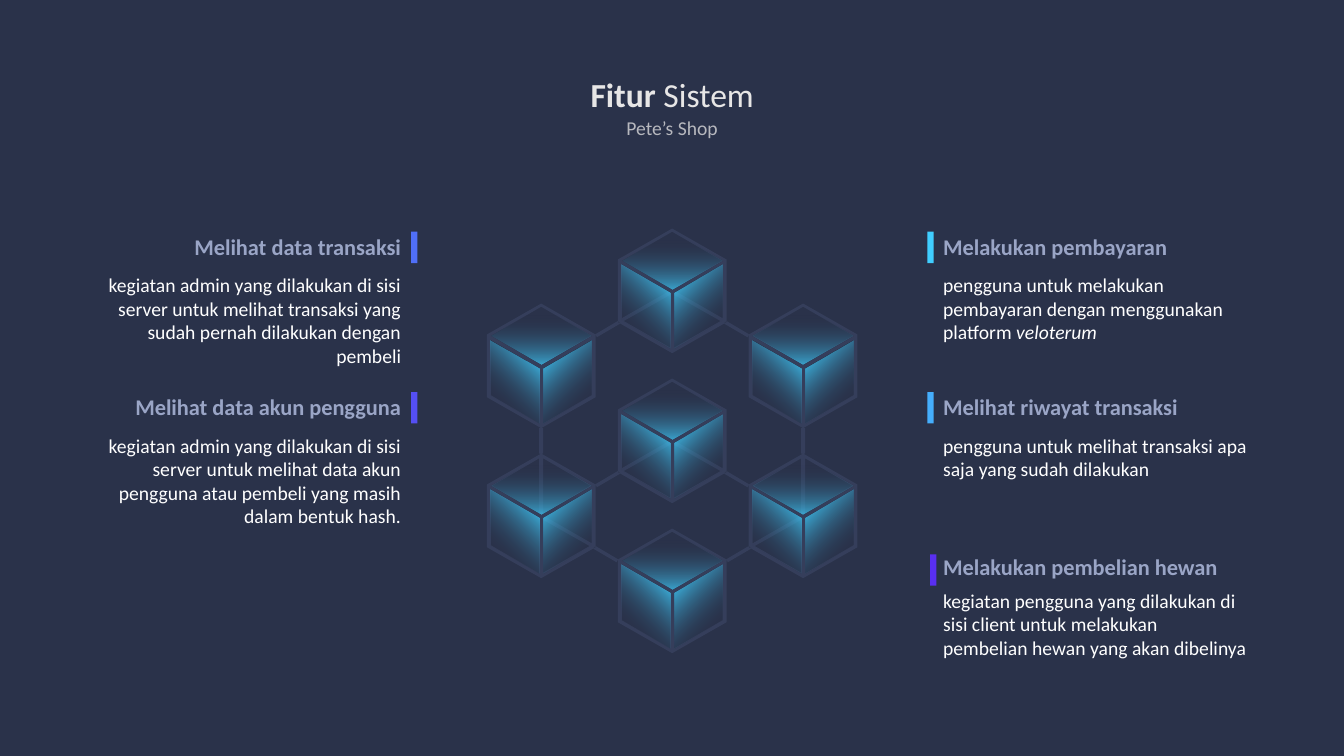
from lxml.etree import SubElement
from pptx import Presentation
from pptx.dml.color import RGBColor
from pptx.enum.shapes import MSO_SHAPE
from pptx.enum.text import MSO_ANCHOR, PP_ALIGN as Align
from pptx.oxml.ns import qn
from pptx.util import Cm, Pt

NAVY = RGBColor(0x2A, 0x32, 0x4A)
SLATE = RGBColor(0x68, 0x78, 0xA9)
LAVENDER = RGBColor(0x9A, 0xA5, 0xC6)
CYAN = RGBColor(0x40, 0xCE, 0xFF)
SKY = RGBColor(0x45, 0xAE, 0xFC)
BLUE = RGBColor(0x50, 0x6F, 0xF7)
INDIGO = RGBColor(0x55, 0x4F, 0xF3)
VIOLET = RGBColor(0x59, 0x2F, 0xF1)
PALE = RGBColor(0xE7, 0xE6, 0xE6)
WHITE = RGBColor(0xFF, 0xFF, 0xFF)

# Content: paragraphs are lists of (text, style) spans
TITLE = [[("Fitur ", "bold"), ("Sistem", "")]]
SUBTITLE = [[("Pete’s Shop", "")]]

# side, heading top, body offset, bar (left, offset), colour, heading, body
FEATURES = [
    ("left", 5.74, 1.02, (10.36, 0.1), BLUE, "Melihat data transaksi",
     [[("kegiatan admin yang dilakukan di sisi server untuk melihat transaksi "
        "yang sudah pernah dilakukan dengan pembeli", "")]]),
    ("left", 9.78, 1.02, (10.36, 0.1), INDIGO, "Melihat data akun pengguna",
     [[("kegiatan admin yang dilakukan di sisi server untuk melihat data akun "
        "pengguna atau pembeli yang masih dalam bentuk hash.", "")]]),
    ("right", 5.74, 1.02, (23.37, 0.1), CYAN, "Melakukan pembayaran",
     [[("pengguna untuk melakukan pembayaran dengan menggunakan", "")],
      [("platform ", ""), ("veloterum", "italic")]]),
    ("right", 9.78, 1.02, (23.37, 0.1), SKY, "Melihat riwayat transaksi",
     [[("pengguna untuk melihat transaksi apa saja yang sudah dilakukan", "")]]),
    ("right", 13.82, 0.89, (23.44, 0.15), VIOLET, "Melakukan pembelian hewan",
     [[("kegiatan pengguna yang dilakukan di sisi client untuk melakukan", "")],
      [("pembelian hewan yang akan dibelinya", "")]]),
]
SIDES = {"left": (2.03, Align.RIGHT), "right": (23.52, Align.LEFT)}

# Cubes: column, row, links leaving or entering the cube
CUBES = [
    (0, 0, ("left", "right")),
    (-1, 1, ("down",)),
    (1, 1, ("down",)),
    (0, 2, ("left", "right")),
    (-1, 3, ("top", "right")),
    (1, 3, ("top", "left")),
    (0, 4, ()),
]
CENTRE_X, FIRST_Y, COLUMN_STEP, ROW_STEP = 16.94, 7.33, 3.3, 1.89

# Cube outlines in cm around the cube's centre; sides are drawn for the right
HEXAGON = [(0, -1.57), (1.37, -0.79), (1.37, 0.79), (0, 1.57), (-1.37, 0.79), (-1.37, -0.79)]
TOP_FACE = [(0, -1.49), (1.26, -0.76), (0, -0.04), (-1.26, -0.76)]
TOP_HALF = [(0.05, -1.45), (1.24, -0.76), (0.05, -0.06)]
SIDE_FACE = [(0.05, 0.06), (1.27, -0.65), (1.27, 0.74), (0.05, 1.45)]
SIDE_HALVES = [[(1.27, -0.65), (1.27, 0.69), (0.1, 0.02)],
               [(0.05, 0.1), (1.22, 0.76), (0.05, 1.43)]]
SIDE_LINK = [(1.37, 0.76), (1.93, 1.09), (1.9, 1.17), (1.3, 0.82)]
DOWN_LINK = [(-0.05, 1.57), (0.05, 1.57), (0.05, 2.21), (-0.05, 2.21)]
MIRRORS = {"left": -1, "right": 1}

deck = Presentation()
deck.slide_width, deck.slide_height = Cm(33.87), Cm(19.05)
page = deck.slides.add_slide(deck.slide_layouts[5])
page.background.fill.solid()
page.background.fill.fore_color.rgb = NAVY


def set_alpha(colour_element, percent):
    SubElement(colour_element, qn("a:alpha")).set("val", str(percent * 1000))


def write(paragraphs, left, top, width, height, size, colour,
          align=Align.LEFT, bold=False, alpha=None, box=None):
    box = box or page.shapes.add_textbox(0, 0, 0, 0)
    box.left, box.top, box.width, box.height = Cm(left), Cm(top), Cm(width), Cm(height)
    frame = box.text_frame
    frame.word_wrap = True
    frame.vertical_anchor = MSO_ANCHOR.TOP
    for index, spans in enumerate(paragraphs):
        para = frame.add_paragraph() if index else frame.paragraphs[0]
        para.alignment = align
        for text, style in spans:
            span = para.add_run()
            span.text = text
            span.font.name, span.font.size = "Calibri", Pt(size)
            span.font.bold = bold or style == "bold"
            span.font.italic = style == "italic"
            span.font.color.rgb = colour
            if alpha:
                set_alpha(next(span.font._element.iter(qn("a:srgbClr"))), alpha)


def mirror(points, sign):
    return [(x * sign, y) for x, y in points]


def place(points, centre):
    return [(Cm(centre[0] + x), Cm(centre[1] + y)) for x, y in points]


def draw(contours):
    first, *others = contours
    builder = page.shapes.build_freeform(*first[0], scale=1.0)
    builder.add_line_segments(first[1:], close=True)
    for contour in others:
        builder.move_to(*contour[0])
        builder.add_line_segments(contour[1:], close=True)
    outline = builder.convert_to_shape()
    outline.shadow.inherit = False
    outline.line.fill.background()
    return outline


def frame_contours(links):
    contours = [HEXAGON]
    if "top" in links:
        contours += [mirror(TOP_HALF, sign) for sign in MIRRORS.values()]
    else:
        contours.append(TOP_FACE)
    for side, sign in MIRRORS.items():
        parts = SIDE_HALVES + [SIDE_LINK] if side in links else [SIDE_FACE]
        contours += [mirror(part, sign) for part in parts]
    if "down" in links:
        contours.append(DOWN_LINK)
    return contours


def draw_face(points, centre, angle, stops):
    face = draw([place(points, centre)])
    face.fill.gradient()
    face.fill.gradient_angle = angle
    for stop, (position, colour, alpha) in zip(face.fill.gradient_stops, stops):
        stop.position = position
        stop.color.rgb = colour
        set_alpha(next(stop._gs.iter(qn("a:srgbClr"))), alpha)


# Linked cube frame
centres = [(CENTRE_X + column * COLUMN_STEP, FIRST_Y + row * ROW_STEP)
           for column, row, links in CUBES]
lattice = draw([place(contour, centre)
                for centre, (column, row, links) in zip(centres, CUBES)
                for contour in frame_contours(links)])
lattice.fill.solid()
lattice.fill.fore_color.rgb = SLATE
set_alpha(next(lattice._element.spPr.iter(qn("a:srgbClr"))), 18)

# Glowing cube faces
TOP_GLOW = [(0.15, NAVY, 0), (1, CYAN, 71)]
SIDE_GLOW = [(0.2, NAVY, 0), (0.8, CYAN, 75)]
for centre in centres:
    draw_face(TOP_FACE, centre, 270, TOP_GLOW)
    draw_face(SIDE_FACE, centre, 135, SIDE_GLOW)
    draw_face(mirror(SIDE_FACE, -1), centre, 45, SIDE_GLOW)

# Title and subtitle
write(TITLE, 11.53, 1.73, 10.82, 1.27, 24, PALE, align=Align.CENTER, box=page.shapes.title)
write(SUBTITLE, 11.53, 2.79, 10.82, 0.86, 14, PALE, align=Align.CENTER, alpha=74)

# Feature texts with their colour bars
for side, top, body_offset, (bar_left, bar_offset), colour, heading, body in FEATURES:
    left, align = SIDES[side]
    write([[(heading, "")]], left, top, 8.33, 0.94, 16, LAVENDER, align=align, bold=True)
    write(body, left, top + body_offset, 8.33, 2.06, 14, WHITE, align=align)
    bar = page.shapes.add_shape(MSO_SHAPE.RECTANGLE, Cm(bar_left), Cm(top + bar_offset),
                                Cm(0.16), Cm(0.79))
    bar.shadow.inherit = False
    bar.fill.solid()
    bar.fill.fore_color.rgb = colour
    bar.line.fill.background()

deck.save("out.pptx")
